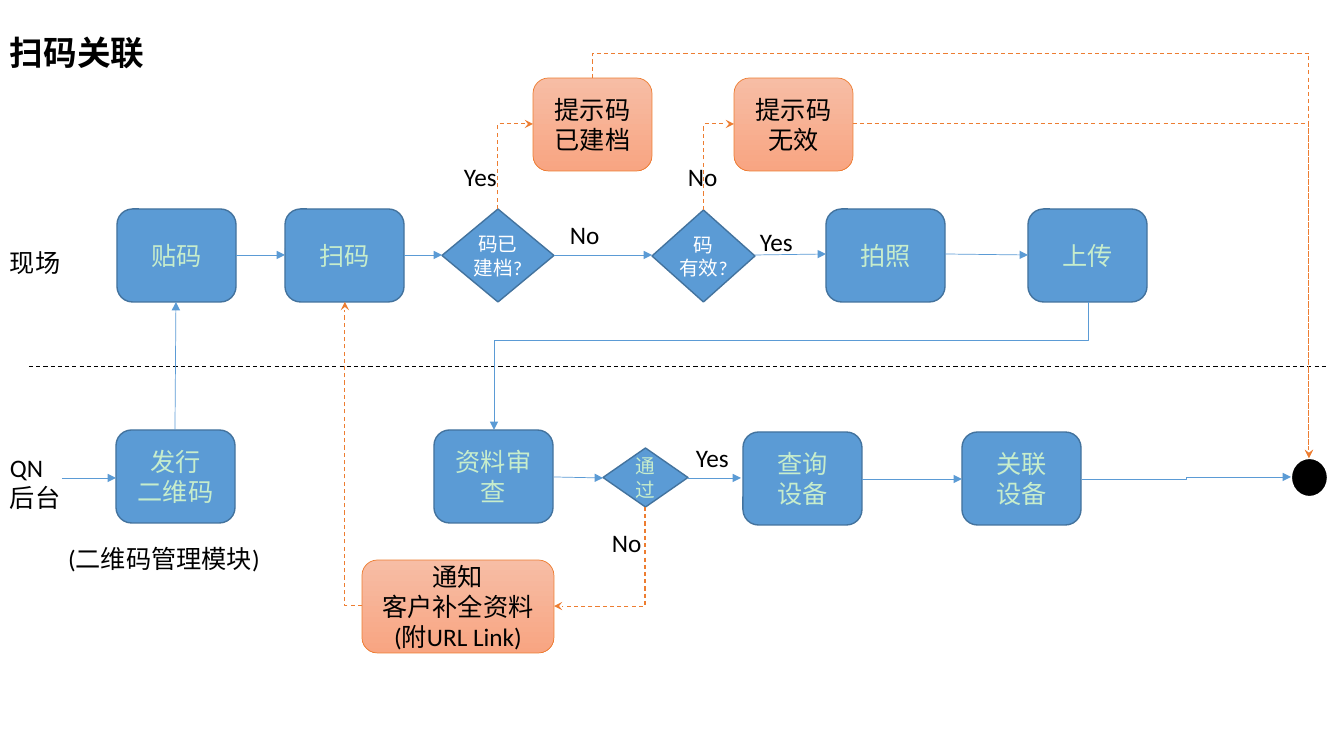
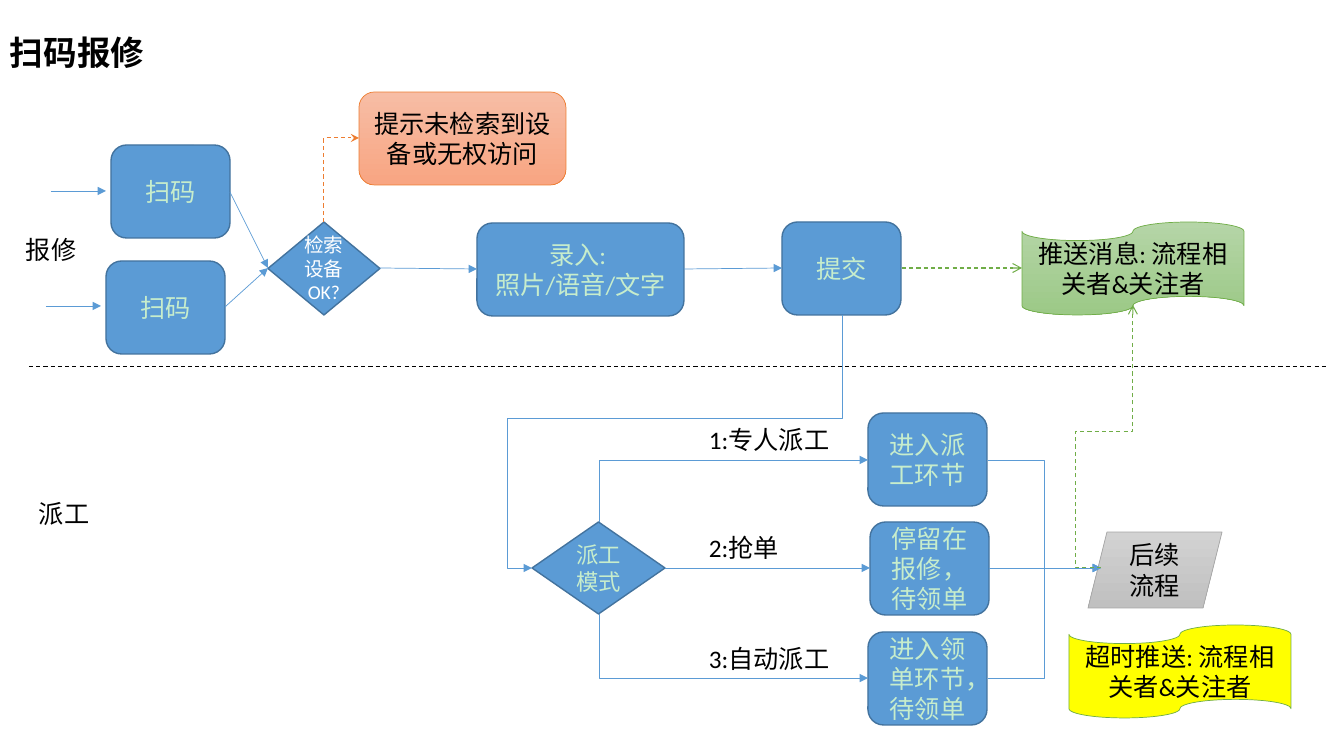
from pptx import Presentation
from pptx.dml.color import RGBColor
from pptx.enum.dml import MSO_LINE
from pptx.enum.shapes import MSO_CONNECTOR, MSO_SHAPE
from pptx.enum.text import MSO_ANCHOR, PP_ALIGN
from pptx.oxml.ns import qn
from pptx.util import Pt
from lxml import etree

PX = 914400 / 100.8
FONT = "Calibri"
COLOURS = {
    "blue": "5B9BD5", "blue edge": "43739E", "mint": "C7EDCC", "white": "FFFFFF",
    "black": "000000", "orange": "ED7D31", "orange top": "F7BDA5", "orange end": "F8A582",
    "green": "70AD47", "green top": "B5D5A7", "green end": "9CC987", "yellow": "FFFF00",
    "grey": "A5A5A5", "grey top": "D2D2D2", "grey end": "C0C0C0",
}
RGB = {name: RGBColor.from_string(value) for name, value in COLOURS.items()}

# Box styles: fill colours (two make a gradient), edge, edge width, text colour
BOXES = {
    "step": (["blue"], "blue edge", 1, "mint"),
    "check": (["blue"], "blue edge", 1, "white"),
    "alert": (["orange top", "orange end"], "orange", 0.5, "black"),
    "push": (["green top", "green end"], "green", 0.5, "black"),
    "overdue": (["yellow"], "green", 0.5, "black"),
    "next": (["grey top", "grey end"], "grey", 0.5, "black"),
    "end": (["black"], "white", 1.5, "white"),
    "label": ([], None, 0, "black"),
}
# Link styles: colour, width, dashed, arrowhead
LINKS = {
    "flow": ("blue", 0.5, False, "triangle"),
    "alert": ("orange", 0.75, True, "stealth"),
    "push": ("green", 0.75, True, "arrow"),
    "divider": ("black", 0.75, True, None),
}
ROUND, DIAMOND = MSO_SHAPE.ROUNDED_RECTANGLE, MSO_SHAPE.DIAMOND
TAPE = MSO_SHAPE.FLOWCHART_PUNCHED_TAPE
STEP_W, STEP_H = 119, 93


def add_box(slide, style, preset, text, x, y, w=STEP_W, h=STEP_H, size=18, bold=False,
            align=PP_ALIGN.CENTER):
    fills, edge, edge_width, ink = BOXES[style]
    place = [round(v * PX) for v in (x, y, w, h)]
    if preset is None:
        box = slide.shapes.add_textbox(*place)
    else:
        box = slide.shapes.add_shape(preset, *place)
        box.shadow.inherit = False
        box.line.color.rgb = RGB[edge]
        box.line.width = Pt(edge_width)
        if len(fills) == 1:
            box.fill.solid()
            box.fill.fore_color.rgb = RGB[fills[0]]
        else:
            box.fill.gradient()
            box.fill.gradient_angle = 270
            for stop, colour in zip(box.fill.gradient_stops, fills):
                stop.color.rgb = RGB[colour]
    frame = box.text_frame
    frame.word_wrap = True
    frame.vertical_anchor = MSO_ANCHOR.TOP if preset is None else MSO_ANCHOR.MIDDLE
    if style == "check":
        frame.margin_left = frame.margin_right = frame.margin_top = frame.margin_bottom = 0
    for i, line in enumerate(text.split("\n") if text else []):
        paragraph = frame.add_paragraph() if i else frame.paragraphs[0]
        paragraph.alignment = align
        run = paragraph.add_run()
        run.text = line
        run.font.name, run.font.size, run.font.bold = FONT, Pt(size), bold
        run.font.color.rgb = RGB[ink]


def add_link(slide, style, x1, y1, x2, y2, leave=None, bends=1, adjust=()):
    """Straight without leave; otherwise an elbow leaving sideways "h" or upright "v"."""
    colour, width, dashed, head = LINKS[style]
    across, down = x2 - x1, y2 - y1
    if leave == "v":  # elbows start sideways, so an upright one is turned by 90 degrees
        across, down = down, -across
    mid_x, mid_y = (x1 + x2) / 2, (y1 + y2) / 2
    ends = (mid_x - across / 2, mid_y - down / 2, mid_x + across / 2, mid_y + down / 2)
    kind = MSO_CONNECTOR.ELBOW if leave else MSO_CONNECTOR.STRAIGHT
    link = slide.shapes.add_connector(kind, *[round(v * PX) for v in ends])
    link.line.color.rgb = RGB[colour]
    link.line.width = Pt(width)
    if dashed:
        link.line.dash_style = MSO_LINE.DASH
    properties = link._element.spPr
    if leave:
        geometry = properties.find(qn("a:prstGeom"))
        geometry.set("prst", f"bentConnector{bends + 1}")
        guides = geometry.find(qn("a:avLst"))
        for i, share in enumerate(adjust, 1):
            etree.SubElement(guides, qn("a:gd"), name=f"adj{i}",
                             fmla=f"val {round(share * 100000)}")
    if leave == "v":
        properties.find(qn("a:xfrm")).set("rot", "5400000")
    if head:
        etree.SubElement(properties.find(qn("a:ln")), qn("a:tailEnd"), type=head)
    etree.SubElement(properties, qn("a:effectLst"))


# Content of the code registration slide
register = {
    "title": "扫码关联",
    "boxes": [
        ("step", ROUND, "贴码", 117, 209),
        ("step", ROUND, "扫码", 285, 209),
        ("step", ROUND, "拍照", 826, 209),
        ("step", ROUND, "上传", 1028, 209),
        ("step", ROUND, "发行\n二维码", 116, 430),
        ("step", ROUND, "资料审查", 434, 430),
        ("step", ROUND, "查询\n设备", 743, 432),
        ("step", ROUND, "关联\n设备", 962, 432),
        ("check", DIAMOND, "码已\n建档?", 442, 209, 112, 93, 14),
        ("check", DIAMOND, "码\n有效?", 652, 210, 103, 92, 14),
        ("step", DIAMOND, "通过", 603, 448, 85, 59, 14),
        ("alert", ROUND, "提示码已建档", 533, 78),
        ("alert", ROUND, "提示码无效", 734, 78),
        ("alert", ROUND, "通知\n客户补全资料(附URL Link)", 362, 560, 192),
        ("end", MSO_SHAPE.OVAL, "", 1291, 458, 37, 39),
        ("label", None, "(二维码管理模块)", 57, 538, 214, 72),
    ],
    "labels": [
        ("现场", 0, 242, 106), ("QN\n后台", 0, 447, 94),
        ("Yes", 454, 156, 61), ("No", 560, 214, 61), ("No", 678, 156, 61),
        ("Yes", 750, 221, 61), ("Yes", 686, 437, 61), ("No", 602, 522, 61),
    ],
    "links": [
        ("flow", 62, 478, 116, 478),
        ("flow", 175, 430, 176, 302),
        ("flow", 236, 255, 285, 255),
        ("flow", 404, 255, 442, 255),
        ("flow", 554, 255, 652, 255),
        ("flow", 755, 255, 826, 254),
        ("flow", 945, 254, 1028, 255),
        ("flow", 1088, 302, 494, 430, "v", 2, [0.3]),
        ("flow", 554, 477, 603, 478),
        ("flow", 688, 478, 741, 478),
        ("flow", 862, 479, 962, 479),
        ("flow", 1082, 479, 1291, 477, "h", 2, [0.5]),
        ("alert", 498, 209, 533, 124, "v"),
        ("alert", 704, 210, 734, 124, "v"),
        ("alert", 593, 78, 1309, 458, "v", 2, [-0.066]),
        ("alert", 853, 124, 1309, 458, "h"),
        ("alert", 645, 507, 554, 606, "v"),
        ("alert", 362, 606, 345, 302, "h"),
    ],
}

# Content of the repair request slide
repair = {
    "title": "扫码报修",
    "boxes": [
        ("step", ROUND, "扫码", 111, 145),
        ("step", ROUND, "扫码", 106, 261),
        ("step", ROUND, "录入: \n照片/语音/文字", 477, 223, 207),
        ("step", ROUND, "提交", 782, 222),
        ("step", ROUND, "进入派工环节", 868, 413),
        ("step", ROUND, "停留在报修，待领单", 870, 522),
        ("step", ROUND, "进入领单环节，待领单", 868, 632),
        ("check", DIAMOND, "检索设备OK?", 268, 222, 112, 93, 14),
        ("step", DIAMOND, "派工模式", 532, 522, 133, 92, 16),
        ("alert", ROUND, "提示未检索到设备或无权访问", 359, 92, 207),
        ("push", TAPE, "推送消息: 流程相关者&关注者", 1022, 222, 222),
        ("overdue", TAPE, "超时推送: 流程相关者&关注者", 1069, 625, 222),
        ("next", MSO_SHAPE.PARALLELOGRAM, "后续\n流程", 1088, 532, 134, 76),
    ],
    "labels": [
        ("报修", 16, 229, 94), ("派工", 29, 493, 94),
        ("1:专人派工", 699, 419, 209), ("2:抢单", 699, 527, 209),
        ("3:自动派工", 699, 638, 209),
    ],
    "links": [
        ("flow", 51, 191, 106, 191),
        ("flow", 46, 306, 101, 306),
        ("flow", 230, 192, 268, 268),
        ("flow", 225, 307, 268, 268),
        ("flow", 380, 268, 477, 269),
        ("flow", 684, 269, 782, 268),
        ("flow", 842, 315, 532, 568, "v", 3, [0.409, 1.081]),
        ("flow", 599, 522, 868, 460, "v"),
        ("flow", 665, 568, 870, 568),
        ("flow", 599, 614, 868, 678, "v"),
        ("flow", 988, 460, 1101, 568, "h", 2, [0.5]),
        ("flow", 989, 568, 1101, 568),
        ("flow", 988, 678, 1101, 568, "h", 2, [0.5]),
        ("alert", 324, 222, 359, 138, "v"),
        ("push", 902, 268, 1022, 268),
        ("push", 1101, 568, 1133, 305, "h", 3, [-0.783, 0.52]),
    ],
}

presentation = Presentation()
presentation.slide_width, presentation.slide_height = round(1344 * PX), round(756 * PX)

for flow in (register, repair):
    slide = presentation.slides.add_slide(presentation.slide_layouts[6])
    # Title and the line between the two lanes
    add_box(slide, "label", None, flow["title"], 0, 27, 180, 50, 24, True, PP_ALIGN.LEFT)
    add_link(slide, "divider", 29, 367, 1328, 367)
    # Steps, then the arrows and the words beside them
    for box in flow["boxes"]:
        add_box(slide, *box)
    for link in flow["links"]:
        add_link(slide, *link)
    for text, x, y, w in flow["labels"]:
        add_box(slide, "label", None, text, x, y, w, 40 + 32 * text.count("\n"),
                align=PP_ALIGN.LEFT)

presentation.save("out.pptx")
